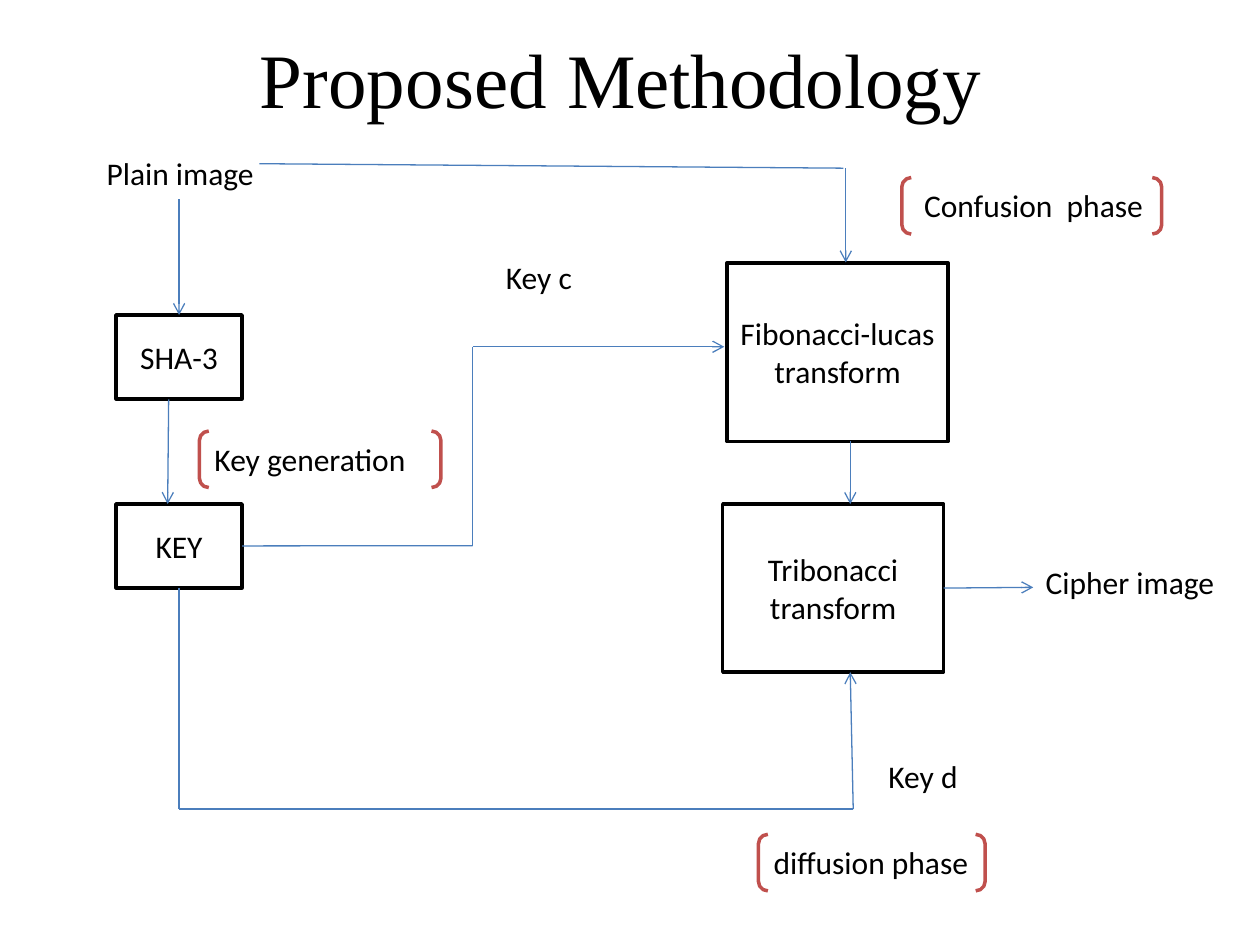
import pptx
import pptx.util
import pptx.dml.color
import pptx.enum.shapes
import pptx.enum.text
import pptx.oxml
import pptx.oxml.ns

Cm, Pt = pptx.util.Cm, pptx.util.Pt
Kind = pptx.enum.shapes.MSO_SHAPE
Anchor = pptx.enum.text.MSO_ANCHOR
Align = pptx.enum.text.PP_ALIGN
Fit = pptx.enum.text.MSO_AUTO_SIZE
RGB = pptx.dml.color.RGBColor
BLACK = RGB(0, 0, 0)
WHITE = RGB(255, 255, 255)
BLUE = RGB(0x4B, 0x7E, 0xBC)
RED = RGB(0xC0, 0x50, 0x4D)
TOP, LEFT, BOTTOM, RIGHT = range(4)

TITLE = (("Proposed ", 10), ("Methodology", -10))
BOXES = {
    "sha": ("SHA-3", Kind.FLOWCHART_PROCESS, 2.34, 6.35, 2.54, 1.69),
    "key": ("KEY", Kind.FLOWCHART_PROCESS, 2.34, 10.16, 2.54, 1.69),
    "tri": ("Tribonacci transform", Kind.RECTANGLE, 14.57, 10.16, 4.45, 3.39),
    "fib": ("Fibonacci-lucas transform", Kind.FLOWCHART_PROCESS, 14.66, 5.3, 4.45, 3.6),
}
LABELS = [
    ("Plain image", 1.9, 2.98, 3.5),
    ("Cipher image", 20.83, 11.23, 3.96),
    ("Key d", 17.66, 15.14, 1.93),
    ("Key c", 9.95, 5.08, 1.86),
]
PHASES = [
    (" Confusion  phase", 18.18, 3.58, 5.24, False),
    ("diffusion phase", 15.29, 16.82, 4.57, False),
    ("Key generation", 4.02, 8.69, 4.87, True),
]
ROUTES = [
    ([(3.4, 8.05), (3.38, 10.16)], True, None, None),
    ([(3.61, 11.85), (3.61, 16.31), (17.2, 16.31), (17.14, 13.55)], True, ("key", BOTTOM), None),
    ([(17.14, 8.9), (17.14, 10.16)], True, None, None),
    ([(3.61, 4.02), (3.61, 6.35)], True, None, ("sha", TOP)),
    ([(4.88, 11.0), (9.53, 11.0), (9.53, 6.99), (14.6, 6.99)], True, ("key", RIGHT), None),
    ([(5.23, 3.3), (17.0, 3.39)], False, None, None),
    ([(17.05, 3.39), (17.05, 5.29)], True, None, None),
    ([(19.02, 11.81), (20.83, 11.84)], True, ("tri", RIGHT), None),
]


def write(shape, text, align=Align.LEFT, anchor=Anchor.TOP, wrap=True):
    frame = shape.text_frame
    frame.text = text
    frame.word_wrap = wrap
    frame.vertical_anchor = anchor
    para = frame.paragraphs[0]
    para.alignment = align
    font = para.runs[0].font
    font.name, font.size = "Calibri", Pt(18)
    font.color.rgb = BLACK


def outline(slide, kind, place, color):
    shape = slide.shapes.add_shape(kind, *map(Cm, place))
    shape.shadow.inherit = False
    shape.fill.solid()
    shape.fill.fore_color.rgb = WHITE
    shape.line.color.rgb = color
    shape.line.width = Pt(2)
    return shape


def link(slide, start, end, arrow):
    line = slide.shapes.add_connector(
        pptx.enum.shapes.MSO_CONNECTOR.STRAIGHT, *map(Cm, start + end))
    line.line.color.rgb = BLUE
    line.line.width = Pt(0.75)
    if arrow:
        tail = pptx.oxml.ns.qn("a:tailEnd")
        line.line._get_or_add_ln().makeelement(tail)
        pptx.oxml.xmlchemy.OxmlElement("a:tailEnd")
        mark = pptx.oxml.xmlchemy.OxmlElement("a:tailEnd")
        mark.set("type", "arrow")
        line.line._get_or_add_ln().append(mark)
    line._element.spPr.append(pptx.oxml.xmlchemy.OxmlElement("a:effectLst"))
    return line


def head(slide):
    title = slide.shapes.title
    title.left, title.top, title.width, title.height = map(Cm, (5.23, 0.56, 14.55, 1.96))
    frame = title.text_frame
    frame.margin_left = frame.margin_right = frame.margin_bottom = 0
    frame.margin_top = Cm(0.05)
    frame.word_wrap = False
    para = frame.paragraphs[0]
    para.alignment = Align.LEFT
    para.space_before = Pt(1.3)
    for text, space in TITLE:
        run = para.add_run()
        run.text = text
        run.font.name, run.font.size = "Times New Roman", Pt(44)
        run.font.color.rgb = BLACK
        run._r.get_or_add_rPr().set("spc", str(space))


def main():
    deck = pptx.Presentation()
    deck.slide_width, deck.slide_height = Cm(25.4), Cm(19.05)
    slide = deck.slides.add_slide(deck.slide_layouts[5])
    head(slide)
    boxes = {}
    for name, (text, kind, *place) in BOXES.items():
        boxes[name] = outline(slide, kind, place, BLACK)
        write(boxes[name], text, Align.CENTER, Anchor.MIDDLE)
    for text, left, top, width in LABELS:
        label = slide.shapes.add_textbox(*map(Cm, (left, top, width, 1.03)))
        write(label, text, wrap=False)
        label.text_frame.auto_size = Fit.SHAPE_TO_FIT_TEXT
    for text, left, top, width, wrap in PHASES:
        phase = outline(slide, Kind.DOUBLE_BRACKET, (left, top, width, 1.14), RED)
        write(phase, text, wrap=wrap)
        phase.text_frame.auto_size = Fit.SHAPE_TO_FIT_TEXT
    for points, arrow, source, target in ROUTES:
        last = len(points) - 2
        lines = [link(slide, start, end, arrow and i == last)
                 for i, (start, end) in enumerate(zip(points, points[1:]))]
        if source:
            lines[0].begin_connect(boxes[source[0]], source[1])
        if target:
            lines[-1].end_connect(boxes[target[0]], target[1])
    deck.save("out.pptx")


if __name__ == "__main__":
    main()
